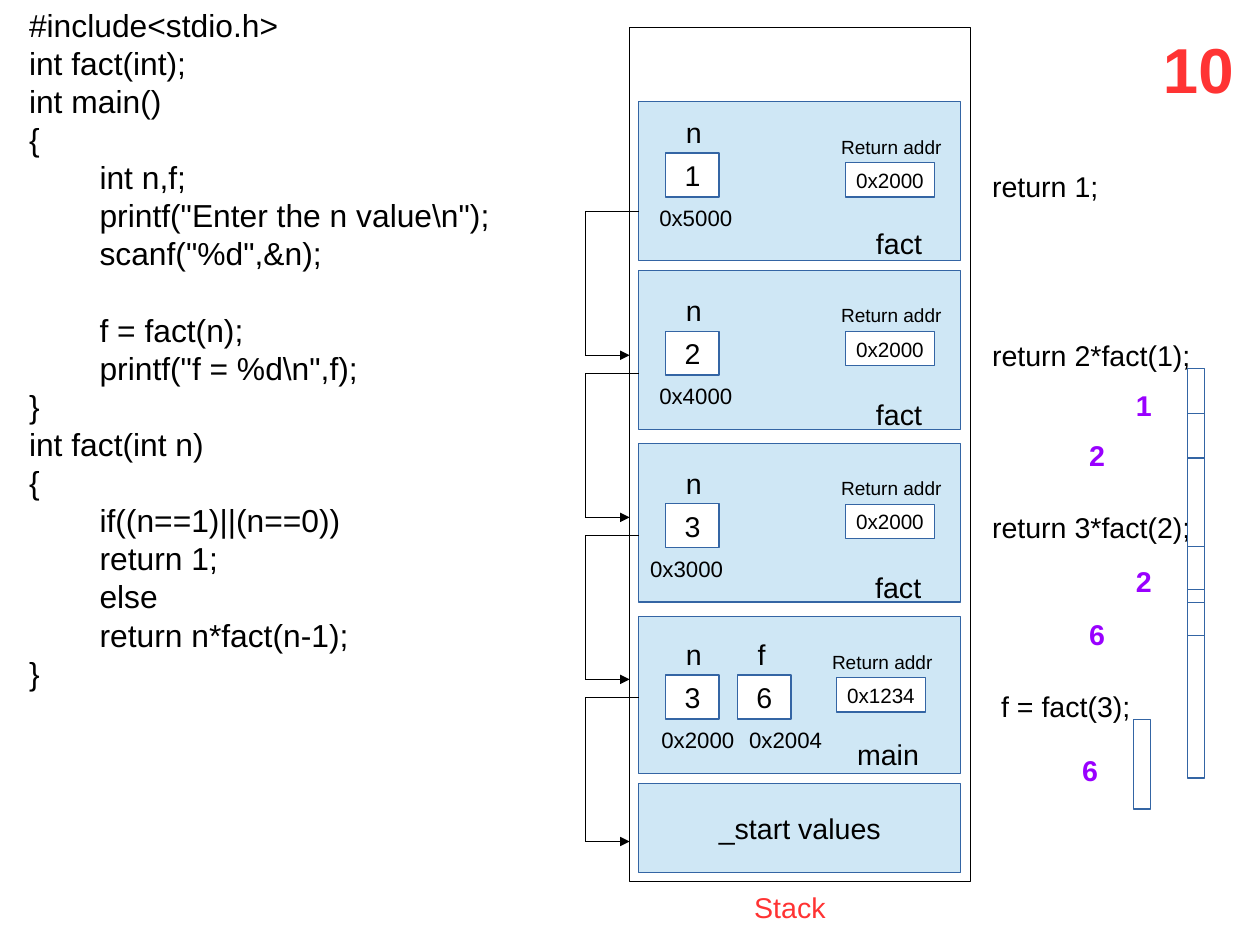
from lxml import etree
from pptx import Presentation
from pptx import util as u
from pptx.dml.color import RGBColor
from pptx.enum import shapes, text
from pptx.oxml.ns import qn

BLACK, WHITE, RED, PURPLE = "000000", "FFFFFF", "FF3333", "9900FF"
FRAME_FILL, FRAME_LINE = "CFE7F5", "3465A4"

# Content
CODE = [
    "#include<stdio.h>",
    "int fact(int);",
    "int main()",
    "{",
    "        int n,f;",
    r'        printf("Enter the n value\n");',
    '        scanf("%d",&n);',
    "",
    "        f = fact(n);",
    r'        printf("f = %d\n",f);',
    "}",
    "int fact(int n)",
    "{",
    "        if((n==1)||(n==0))",
    "        return 1;",
    "        else",
    "        return n*fact(n-1);",
    "}",
]

# Frame: top, height, name, name left, name drop, return address, its left,
# variable drop, variables as (name, value, box left, address, address left)
FRAMES = [
    (64, 100, "fact", 544.7, 74.9, "0x2000", 532.5, 32.4,
     [("n", "1", 419.5, "0x5000", 408.2)]),
    (170.4, 100, "fact", 544.7, 76.3, "0x2000", 532.5, 38.2,
     [("n", "2", 419.5, "0x4000", 408.2)]),
    (279.2, 100, "fact", 544.2, 76.3, "0x2000", 532.5, 38.2,
     [("n", "3", 419.5, "0x3000", 402.4)]),
    (388.5, 98.6, "main", 532.8, 72, "0x1234", 526.8, 36.7,
     [("n", "3", 419.5, "0x2000", 409.5),
      ("f", "6", 464.8, "0x2004", 464.8)]),
]

# Text, left, top
CALLS = [
    ("return 1;", 617.8, 103),
    ("return 2*fact(1);", 617.8, 209.5),
    ("return 3*fact(2);", 617.8, 317.5),
    ("f = fact(3);", 623.5, 430.6),
]
RESULTS = [
    ("1", 708.5, 241), ("2", 679, 272.2), ("2", 708.5, 351.4),
    ("6", 679, 385.2), ("6", 674.6, 470.7),
]
# Left, top, height of the narrow return bars
BARS = [
    (748.1, 232.3, 56.2), (748.1, 344, 56.2), (714, 453.4, 56.2),
    (748.1, 260.6, 118.8), (748.1, 371.3, 118.8),
]

FRAME_LEFT, FRAME_WIDTH = 402.3, 203
STACK_LEFT = 396.6
LINK_LEFT, LINK_TOP, LINK_STEP, LINK_DROP = 368.6, 133.1, 102.1, 90.7
CODE_PITCH = 24

presentation = Presentation()
presentation.slide_width, presentation.slide_height = u.Pt(793.7), u.Pt(595.28)
slide = presentation.slides.add_slide(presentation.slide_layouts[6])


def color(value):
    return RGBColor.from_string(value)


def format_runs(paragraph, size, ink, bold=False):
    for run in paragraph.runs:
        run.font.name = "Arial"
        run.font.size = u.Pt(size)
        run.font.bold = bold
        run.font.color.rgb = color(ink)


def add_label(words, left, top, width, height, size=18, ink=BLACK, bold=False):
    box = slide.shapes.add_textbox(u.Pt(left), u.Pt(top), u.Pt(width), u.Pt(height))
    frame = box.text_frame
    frame.word_wrap = True
    frame.text = words
    format_runs(frame.paragraphs[0], size, ink, bold)
    return frame


def add_box(left, top, width, height, fill=None, line=FRAME_LINE, words="", size=18):
    shape = slide.shapes.add_shape(shapes.MSO_SHAPE.RECTANGLE, u.Pt(left),
                                   u.Pt(top), u.Pt(width), u.Pt(height))
    shape.shadow.inherit = False
    if fill:
        shape.fill.solid()
        shape.fill.fore_color.rgb = color(fill)
    else:
        shape.fill.background()
    shape.line.color.rgb = color(line)
    shape.line.width = u.Pt(0.75)
    if words:
        frame = shape.text_frame
        frame.word_wrap = False
        frame.vertical_anchor = text.MSO_ANCHOR.MIDDLE
        frame.text = words
        frame.paragraphs[0].alignment = text.PP_ALIGN.CENTER
        format_runs(frame.paragraphs[0], size, BLACK)


def add_line(start, end, arrow=False):
    points = [u.Pt(value) for value in (*start, *end)]
    connector = slide.shapes.add_connector(shapes.MSO_CONNECTOR.STRAIGHT, *points)
    connector.line.color.rgb = color(BLACK)
    connector.line.width = u.Pt(0.75)
    if arrow:
        line = connector.line._get_or_add_ln()
        etree.SubElement(line, qn("a:tailEnd"), type="triangle")
    etree.SubElement(connector._element.spPr, qn("a:effectLst"))


# Program listing; an empty line becomes space before the next one
listing = add_label(CODE[0], 0, 0, 350.6, 498.2, 20)
listing.margin_left, listing.margin_top = u.Pt(18.3), u.Pt(3.4)
gap = 0
for line in CODE[1:]:
    if not line:
        gap += CODE_PITCH
        continue
    paragraph = listing.add_paragraph()
    paragraph.text = line
    paragraph.space_before = u.Pt(gap)
    gap = 0
    format_runs(paragraph, 20, BLACK)
for paragraph in listing.paragraphs:
    paragraph.line_spacing = u.Pt(CODE_PITCH)

# Stack outline and its bottom block
add_box(STACK_LEFT, 17.3, 214.6, 537.8, WHITE, BLACK)
add_box(FRAME_LEFT, 493.6, FRAME_WIDTH, 56.2, FRAME_FILL, words="_start values")
add_label("Stack", 468, 557, 75.6, 26.6, ink=RED)

# Stack frames
for (top, height, name, name_left, name_drop, return_address, return_left,
     variable_drop, variables) in FRAMES:
    add_box(FRAME_LEFT, top, FRAME_WIDTH, height, FRAME_FILL)
    caption = add_label("Return addr", return_left - 16.6, top + 17.5, 90, 20.2, 12)
    caption.margin_left = u.Pt(13.9)
    add_box(return_left, top + 38.5, 56.2, 21.6, WHITE, words=return_address, size=13)
    add_label(name, name_left, top + name_drop, 62, 26.6)
    for variable, value, left, address, address_left in variables:
        box_top = top + variable_drop
        add_label(variable, left + 5.4, box_top - 27.7, 23.8, 26.6)
        add_box(left, box_top, 33.5, 27.7, WHITE, words=value)
        add_label(address, address_left, box_top + 28.8, 62, 22.3, 14)

# Links from each frame to the one below
for index in range(len(FRAMES)):
    top = LINK_TOP + index * LINK_STEP
    bottom = top + LINK_DROP
    add_line((FRAME_LEFT, top), (LINK_LEFT, top))
    add_line((LINK_LEFT, top), (LINK_LEFT, bottom))
    add_line((LINK_LEFT, bottom), (STACK_LEFT, bottom), arrow=True)

# Calls, return bars and returned values
for words, left, top in CALLS:
    add_label(words, left, top, 152.6, 26.6)
for left, top, height in BARS:
    add_box(left, top, 10.8, height)
for words, left, top in RESULTS:
    add_label(words, left, top, 23.8, 26.6, ink=PURPLE, bold=True)

# Step number
add_label("10", 725.5, 15.6, 64.1, 51.1, 40, RED, True)

presentation.save("out.pptx")
